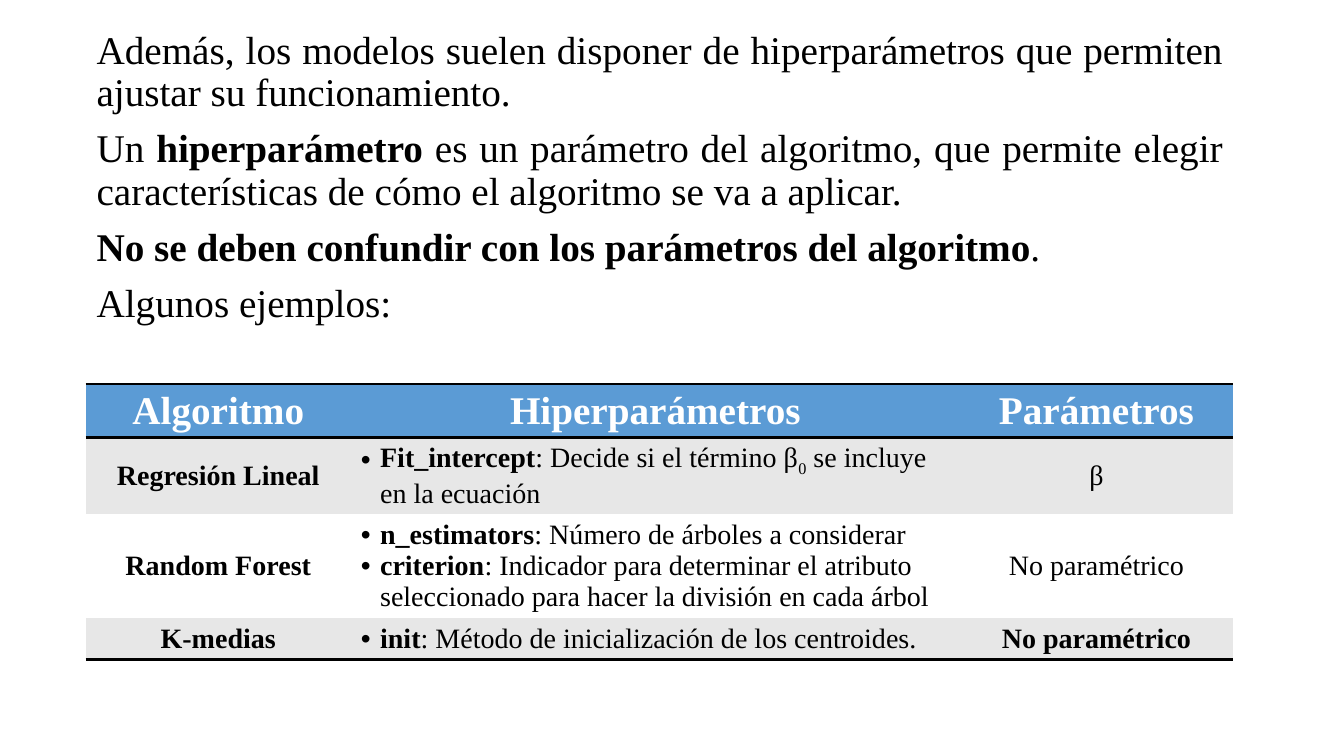
from lxml import etree
from pptx import Presentation
from pptx.dml.color import RGBColor
from pptx.enum.text import MSO_ANCHOR as Anchor, PP_ALIGN as Align
from pptx.oxml.ns import qn
from pptx.util import Inches, Pt

FONT = "Times New Roman"
BLACK, WHITE, BLUE, GREY = "000000", "FFFFFF", "5B9BD5", "E7E7E7"

# A paragraph is a list of runs: (text, style), style being "", "bold" or "sub".
INTRO = [
    [("Además, los modelos suelen disponer de hiperparámetros que permiten "
      "ajustar su funcionamiento.", "")],
    [("Un ", ""), ("hiperparámetro", "bold"),
     (" es un parámetro del algoritmo, que permite elegir características "
      "de cómo el algoritmo se va a aplicar.", "")],
    [("No se deben confundir con los parámetros del algoritmo", "bold"), (".", "")],
    [("Algunos ejemplos:", "")],
]
HEADERS = ["Algoritmo", "Hiperparámetros", "Parámetros"]
# Algorithm, hyperparameters, parameters
EXAMPLES = [
    ("Regresión Lineal",
     [[("Fit_intercept", "bold"), (": Decide si el término β", ""), ("0", "sub"),
       (" se incluye en la ecuación", "")]],
     ("β", "")),
    ("Random Forest",
     [[("n_estimators", "bold"), (": Número de árboles a considerar", "")],
      [("criterion", "bold"),
       (": Indicador para determinar el atributo seleccionado para hacer la "
        "división en cada árbol", "")]],
     ("No paramétrico", "")),
    ("K-medias",
     [[("init", "bold"), (": Método de inicialización de los centroides.", "")]],
     ("No paramétrico", "bold")),
]
COLUMN_WIDTHS = [2.63, 6.04, 2.71]
ROW_HEIGHTS = [0.53, 0.76, 1.03, 0.41]
RULE_WIDTH = 2
BULLET_INDENT = 0.19


def rgb(value):
    return RGBColor.from_string(value)


def add_bullet(paragraph):
    properties = paragraph._p.get_or_add_pPr()
    indent = Inches(BULLET_INDENT)
    properties.set("marL", str(indent))
    properties.set("indent", str(-indent))
    etree.SubElement(properties, qn("a:buFont")).set("typeface", "Arial")
    etree.SubElement(properties, qn("a:buChar")).set("char", "•")


def write(frame, paragraphs, size=20, color=BLACK, align=Align.CENTER,
          bullet=False, line_spacing=None, space_before=0):
    frame.word_wrap = True
    for number, runs in enumerate(paragraphs):
        paragraph = frame.add_paragraph() if number else frame.paragraphs[0]
        paragraph.alignment = align
        if line_spacing:
            paragraph.line_spacing = line_spacing
        if number and space_before:
            paragraph.space_before = Pt(space_before)
        if bullet:
            add_bullet(paragraph)
        for text, style in runs:
            run = paragraph.add_run()
            run.text = text
            font = run.font
            font.name, font.size = FONT, Pt(size)
            font.color.rgb = rgb(color)
            font.bold = style == "bold"
            if style == "sub":
                font._element.set("baseline", "-25000")


def set_borders(cell, ruled):
    """Draw the sides named in ruled and clear the others."""
    properties = cell._tc.get_or_add_tcPr()
    for position, side in enumerate(("L", "R", "T", "B")):
        line = etree.Element(qn(f"a:ln{side}"), w=str(Pt(RULE_WIDTH)))
        if side in ruled:
            fill = etree.SubElement(line, qn("a:solidFill"))
            etree.SubElement(fill, qn("a:srgbClr")).set("val", BLACK)
        else:
            etree.SubElement(line, qn("a:noFill"))
        properties.insert(position, line)


def add_examples_table(slide):
    rows = [[[[(header, "bold")]] for header in HEADERS]]
    rows += [[[[(algorithm, "bold")]], hyperparameters, [[parameters]]]
             for algorithm, hyperparameters, parameters in EXAMPLES]
    table = slide.shapes.add_table(
        len(rows), len(HEADERS), Inches(0.85), Inches(3.81),
        Inches(sum(COLUMN_WIDTHS)), Inches(sum(ROW_HEIGHTS))).table
    table.horz_banding = False
    for column, width in zip(table.columns, COLUMN_WIDTHS):
        column.width = Inches(width)
    ruled = {0: "TB", 1: "T", len(rows) - 1: "B"}
    for r, row in enumerate(rows):
        table.rows[r].height = Inches(ROW_HEIGHTS[r])
        background = BLUE if r == 0 else GREY if r % 2 else WHITE
        for c, paragraphs in enumerate(row):
            cell = table.cell(r, c)
            cell.fill.solid()
            cell.fill.fore_color.rgb = rgb(background)
            set_borders(cell, ruled.get(r, ""))
            cell.vertical_anchor = Anchor.MIDDLE
            if r == 0:
                write(cell.text_frame, paragraphs, size=28, color=WHITE)
            elif c == 1:
                write(cell.text_frame, paragraphs, align=Align.LEFT, bullet=True)
            else:
                write(cell.text_frame, paragraphs)


def main():
    deck = Presentation()
    deck.slide_width, deck.slide_height = Inches(13.33), Inches(7.5)
    slide = deck.slides.add_slide(deck.slide_layouts[6])
    add_examples_table(slide)
    intro = slide.shapes.add_textbox(
        Inches(0.86), Inches(0.25), Inches(11.37), Inches(3.31))
    write(intro.text_frame, INTRO, size=28, align=Align.JUSTIFY,
          line_spacing=0.9, space_before=10)
    deck.save("out.pptx")


if __name__ == "__main__":
    main()
